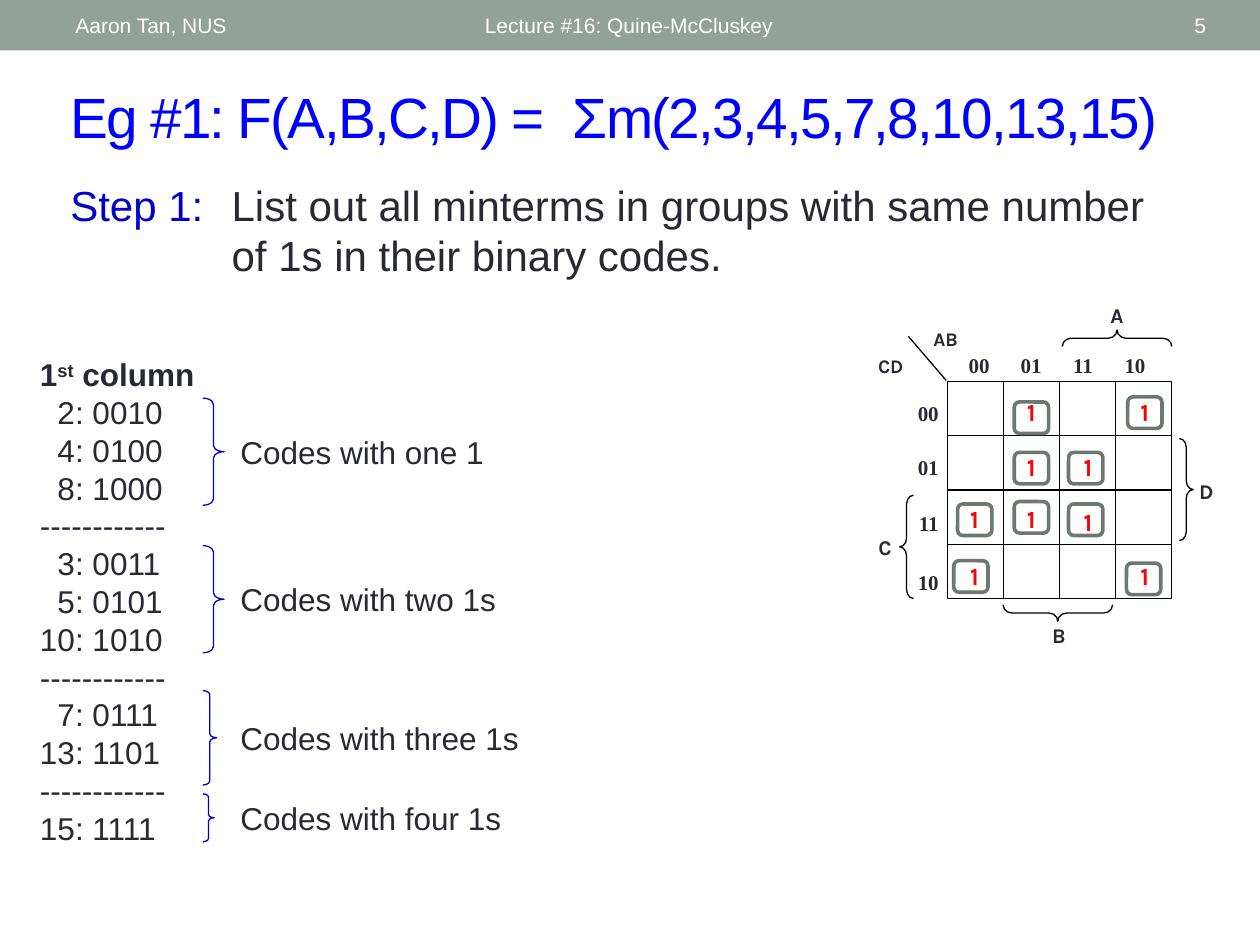
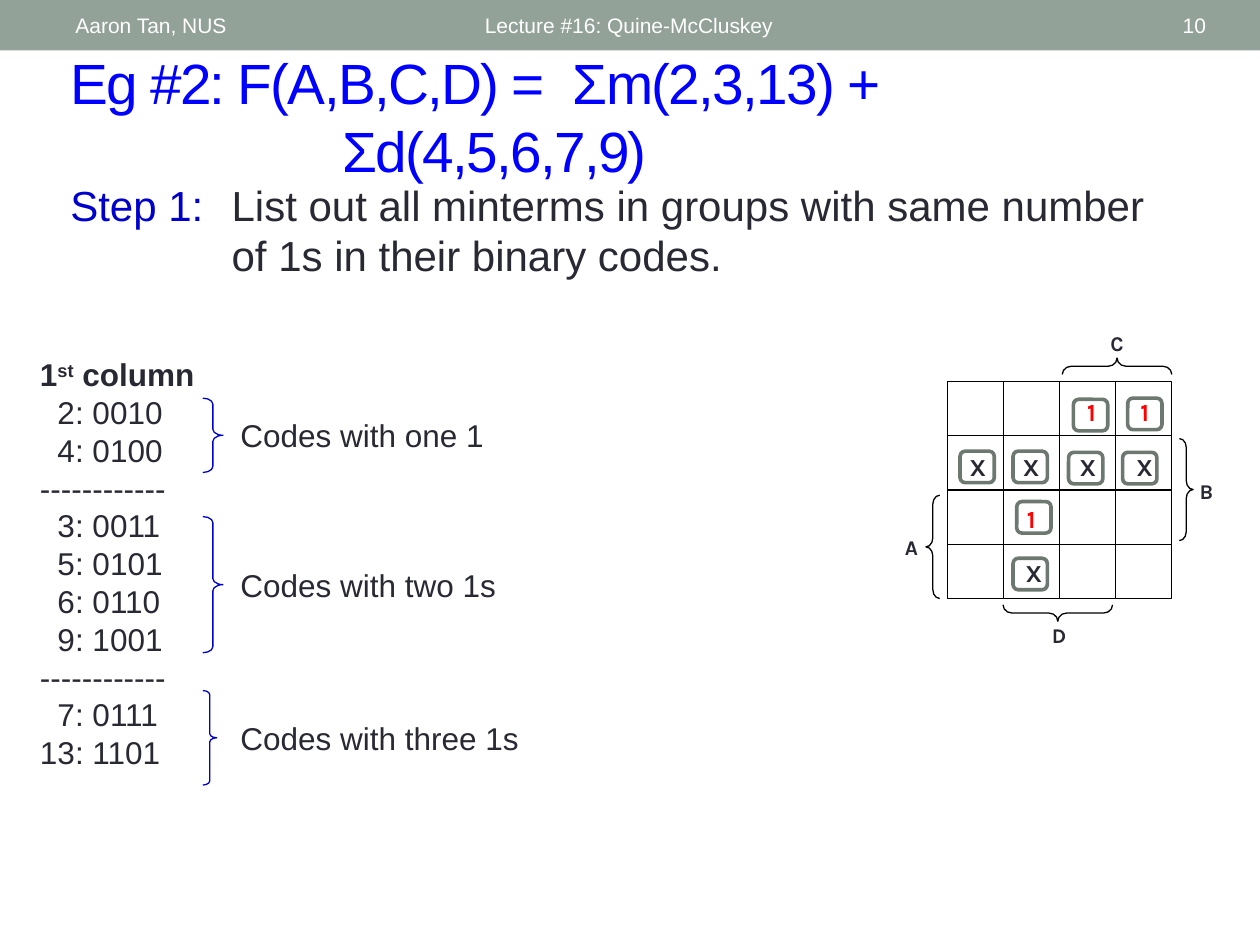
"""Build two slides on grouping minterms for the Quine-McCluskey method."""
from dataclasses import dataclass
from typing import NamedTuple

from lxml.etree import SubElement
from pptx import Presentation
from pptx.dml.color import RGBColor
from pptx.enum.shapes import MSO_CONNECTOR, MSO_SHAPE
from pptx.enum.text import MSO_ANCHOR as Anchor, PP_ALIGN as Align
from pptx.oxml.ns import qn
from pptx.util import Pt

COLORS = {
    "band": "93A299", "white": "FFFFFF", "title": "0000FF", "step": "0000CC",
    "ink": "292934", "one": "FF0000", "grid": "000000", "ring": "6D7871",
}
GRID_LEFT, GRID_TOP = 541.4, 218
CELL_WIDTH, CELL_HEIGHT, CELLS = 32, 31, 4
MARK_TOPS = (223.2, 255, 284.4, 316.8)
ROW_LABEL_TOPS = (225.2, 256, 288, 322)
GRAY_CODES = ("00", "01", "11", "10")


class Box(NamedTuple):
    left: float
    top: float
    width: float
    height: float


@dataclass(frozen=True)
class Style:
    size: float
    color: str = "ink"
    font: str = "Arial"
    bold: bool = False


@dataclass(frozen=True)
class CodeGroup:
    caption: str
    codes: tuple[str, ...]
    brace_top: float
    brace_width: float
    brace_height: float


@dataclass(frozen=True)
class Mark:
    symbol: str
    row: int
    column: int
    ring_left: float
    ring_top: float
    shift_x: float = 0
    shift_y: float = 0


@dataclass(frozen=True)
class KarnaughMap:
    left: str
    top: str
    right: str
    bottom: str
    marks: tuple[Mark, ...]
    coded: bool


@dataclass(frozen=True)
class Example:
    number: str
    title: tuple[str, ...]
    groups: tuple[CodeGroup, ...]
    kmap: KarnaughMap


HEADER = Style(12, "white")
TITLE = Style(32.4, "title")
STEP = Style(24)
LIST = Style(18)
AXIS = Style(12, font="Karla", bold=True)
CORNER = Style(11, font="Karla", bold=True)
GRAY_CODE = Style(12, font="Times New Roman", bold=True)
MARK_STYLES = {
    "1": Style(14, "one", "Karla", True),
    "X": Style(14, "ink", "Karla", True),
}

EXAMPLES = (
    Example(
        "5", ("Eg #1: F(A,B,C,D) =", "Σm(2,3,4,5,7,8,10,13,15)"),
        (CodeGroup("Codes with one 1", ("2: 0010", "4: 0100", "8: 1000"), 227.5, 12.2, 61.2),
         CodeGroup("Codes with two 1s", ("3: 0011", "5: 0101", "10: 1010"), 311.8, 12.2, 61.2),
         CodeGroup("Codes with three 1s", ("7: 0111", "13: 1101"), 394.6, 7.9, 54),
         CodeGroup("Codes with four 1s", ("15: 1111",), 453.6, 6.5, 27.4)),
        KarnaughMap("C", "A", "D", "B", (
            Mark("1", 0, 1, 579.6, 229.7), Mark("1", 0, 3, 644.4, 226.8),
            Mark("1", 1, 1, 579.6, 258.5), Mark("1", 1, 2, 610.6, 258.5),
            Mark("1", 2, 0, 547.2, 288), Mark("1", 2, 1, 579.6, 286.6),
            Mark("1", 2, 2, 610.6, 288, shift_y=2),
            Mark("1", 3, 0, 545, 320.4), Mark("1", 3, 3, 643.7, 321.8),
        ), True),
    ),
    Example(
        "10", ("Eg #2: F(A,B,C,D) =", "Σm(2,3,13) +", "Σd(4,5,6,7,9)"),
        (CodeGroup("Codes with one 1", ("2: 0010", "4: 0100"), 227.5, 11.5, 42.5),
         CodeGroup("Codes with two 1s", ("3: 0011", "5: 0101", "6: 0110", "9: 1001"),
                   295.2, 11.5, 77.8),
         CodeGroup("Codes with three 1s", ("7: 0111", "13: 1101"), 394.6, 7.9, 54)),
        KarnaughMap("A", "C", "B", "D", (
            Mark("1", 0, 2, 613.4, 228.2, shift_x=2), Mark("1", 0, 3, 644.4, 227.5),
            Mark("X", 1, 0, 548.6, 257.8, shift_x=2), Mark("X", 1, 1, 578.9, 257.8),
            Mark("X", 1, 2, 610.6, 258.5), Mark("X", 1, 3, 641.5, 258.5),
            Mark("1", 2, 1, 581, 286.6),
            Mark("X", 3, 1, 578.9, 319, shift_x=1.5, shift_y=-1.5),
        ), False),
    ),
)


def rgb(name: str) -> RGBColor:
    return RGBColor.from_string(COLORS[name])


def lengths(box: Box) -> list[Pt]:
    return [Pt(value) for value in box]


def set_style(para, style: Style, align=Align.LEFT) -> None:
    para.alignment = align
    if style.font == "Arial":
        para.line_spacing = Pt(round(style.size * 1.2, 1))
    para.font.name = style.font
    para.font.size = Pt(style.size)
    para.font.bold = style.bold
    para.font.color.rgb = rgb(style.color)


def set_indent(para, left: float, first: float = 0) -> None:
    properties = para._p.get_or_add_pPr()
    properties.set("marL", str(Pt(left)))
    properties.set("indent", str(Pt(first)))


def add_span(para, text: str, **attributes: str):
    span = para.add_run()
    span.text = text
    for name, value in attributes.items():
        span._r.get_or_add_rPr().set(name, value)
    return span


def add_frame(page, box: Box, anchor=Anchor.TOP):
    frame = page.shapes.add_textbox(*lengths(box)).text_frame
    frame.word_wrap = True
    frame.vertical_anchor = anchor
    return frame


def add_text(page, box: Box, text: str, style: Style, align=Align.LEFT, anchor=Anchor.TOP) -> None:
    para = add_frame(page, box, anchor).paragraphs[0]
    set_style(para, style, align)
    add_span(para, text)


def add_outline(page, kind, box: Box, color: str, weight: float = 0.75):
    shape = page.shapes.add_shape(kind, *lengths(box))
    shape.shadow.inherit = False
    shape.fill.background()
    shape.line.color.rgb = rgb(color)
    shape.line.width = Pt(weight)
    return shape


def add_brace(page, kind, box: Box, color: str, curl: float, rotation: float = 0) -> None:
    brace = add_outline(page, kind, box, color)
    brace.adjustments[0] = curl
    brace.rotation = rotation


def add_line(page, start: tuple[float, float], end: tuple[float, float]):
    line = page.shapes.add_connector(
        MSO_CONNECTOR.STRAIGHT, *(Pt(value) for value in start + end))
    line.line.color.rgb = rgb("grid")
    line.line.width = Pt(0.75)
    SubElement(line._element.spPr, qn("a:effectLst"))
    return line


def add_header(page, number: str) -> None:
    band = page.shapes.add_shape(MSO_SHAPE.RECTANGLE, *lengths(Box(0, 0, 720, 28.8)))
    band.shadow.inherit = False
    band.fill.solid()
    band.fill.fore_color.rgb = rgb("band")
    band.line.fill.background()
    for left, width, text, align in (
        (36, 228, "Aaron Tan, NUS", Align.LEFT),
        (270, 324, "Lecture #16: Quine-McCluskey", Align.LEFT),
        (627.8, 68.4, number, Align.RIGHT),
    ):
        add_text(page, Box(left, 1.4, width, 26), text, HEADER, align, Anchor.MIDDLE)


def add_title(page, parts: tuple[str, ...]) -> None:
    para = add_frame(page, Box(33.1, 41, 663.1, 50.4), Anchor.MIDDLE).paragraphs[0]
    set_indent(para, 155.5, -155.5)
    set_style(para, TITLE)
    function, minterms, *rest = parts
    add_span(para, function, spc="-100")
    add_span(para, " ", spc="700")
    add_span(para, minterms, spc="-100")
    for part in rest:
        para.add_line_break()
        add_span(para, part, spc="-100")


def add_step(page) -> None:
    para = add_frame(page, Box(33.1, 98.8, 631.4, 66.2)).paragraphs[0]
    set_indent(para, 92.2, -92.2)
    set_style(para, STEP)
    add_span(para, "Step 1:").font.color.rgb = rgb("step")
    add_span(para, "\tList out all minterms in groups with same number of 1s "
                   "in their binary codes.")


def add_code_list(page, groups: tuple[CodeGroup, ...]) -> None:
    frame = add_frame(page, Box(15.8, 199.4, 108, 290))
    heading = frame.paragraphs[0]
    set_style(heading, Style(18, bold=True))
    add_span(heading, "1")
    add_span(heading, "st", baseline="30000")
    add_span(heading, " column")
    for index, group in enumerate(groups):
        divider = ("-" * 12,) if index else ()
        for line in divider + group.codes:
            para = frame.add_paragraph()
            set_indent(para, 10 if line[1] == ":" else 0)
            set_style(para, LIST)
            add_span(para, line)
        add_brace(page, MSO_SHAPE.RIGHT_BRACE,
                  Box(115.9, group.brace_top, group.brace_width, group.brace_height), "step", 0.3)
        middle = group.brace_top + group.brace_height / 2
        add_text(page, Box(130.3, middle - 14.4, 180, 28.8), group.caption, LIST)


def add_grid(page) -> None:
    width, height = CELLS * CELL_WIDTH, CELLS * CELL_HEIGHT
    right, bottom = GRID_LEFT + width, GRID_TOP + height
    frame = add_outline(page, MSO_SHAPE.RECTANGLE, Box(GRID_LEFT, GRID_TOP, width, height), "grid")
    for index in range(1, CELLS):
        x, y = GRID_LEFT + index * CELL_WIDTH, GRID_TOP + index * CELL_HEIGHT
        across = add_line(page, (GRID_LEFT, y), (right, y))
        down = add_line(page, (x, GRID_TOP), (x, bottom))
        if index * 2 == CELLS:
            across.begin_connect(frame, 1)
            across.end_connect(frame, 3)
            down.begin_connect(frame, 0)
            down.end_connect(frame, 2)


def add_gray_codes(page) -> None:
    add_line(page, (540.7, 217.4), (519.1, 192.2))
    add_text(page, Box(486.7, 198.7, 44.6, 20.9), "CD", CORNER, Align.CENTER)
    add_text(page, Box(522, 183.6, 36.7, 20.9), "AB", CORNER, Align.CENTER)
    for index, (code, top) in enumerate(zip(GRAY_CODES, ROW_LABEL_TOPS)):
        add_text(page, Box(515.5, top, 28, 21), code, GRAY_CODE, Align.RIGHT)
        add_text(page, Box(544.5 + 29.7 * index, 198, 30, 21), code, GRAY_CODE, Align.CENTER)


def add_map(page, kmap: KarnaughMap) -> None:
    add_grid(page)
    inset_x, inset_y = (0, 0) if kmap.coded else (15, 16)
    left, right = MSO_SHAPE.LEFT_BRACE, MSO_SHAPE.RIGHT_BRACE
    for kind, box, rotation, label, label_left, label_top in (
        (left, Box(514.1 + inset_x, 283, 7.9, 59), 0, kmap.left, 493.9 + inset_x, 301.7),
        (left, Box(633.6, 162 + inset_y, 9.4, 62.6), 90, kmap.top, 626.4, 169.2 + inset_y),
        (right, Box(673.9, 250.6, 7.9, 58.3), 0, kmap.right, 677.5, 270),
        (left, Box(599.8, 319, 9.4, 62.6), 270, kmap.bottom, 593.3, 352.1),
    ):
        add_brace(page, kind, box, "grid", 0.54 if rotation else 0.64, rotation)
        add_text(page, Box(label_left, label_top, 23.8, 22), label, AXIS, Align.CENTER)
    if kmap.coded:
        add_gray_codes(page)
    for mark in kmap.marks:
        box = Box(540.7 + 32.4 * mark.column + mark.shift_x,
                  MARK_TOPS[mark.row] + mark.shift_y, 32.4, 25)
        add_text(page, box, mark.symbol, MARK_STYLES[mark.symbol], Align.CENTER)
        add_outline(page, MSO_SHAPE.ROUNDED_RECTANGLE,
                    Box(mark.ring_left, mark.ring_top, 19.6, 18), "ring", 2.08)


def main() -> None:
    deck = Presentation()
    deck.slide_width, deck.slide_height = Pt(720), Pt(540)
    for example in EXAMPLES:
        page = deck.slides.add_slide(deck.slide_layouts[6])
        add_header(page, example.number)
        add_title(page, example.title)
        add_step(page)
        add_map(page, example.kmap)
        add_code_list(page, example.groups)
    deck.save("out.pptx")


if __name__ == "__main__":
    main()
